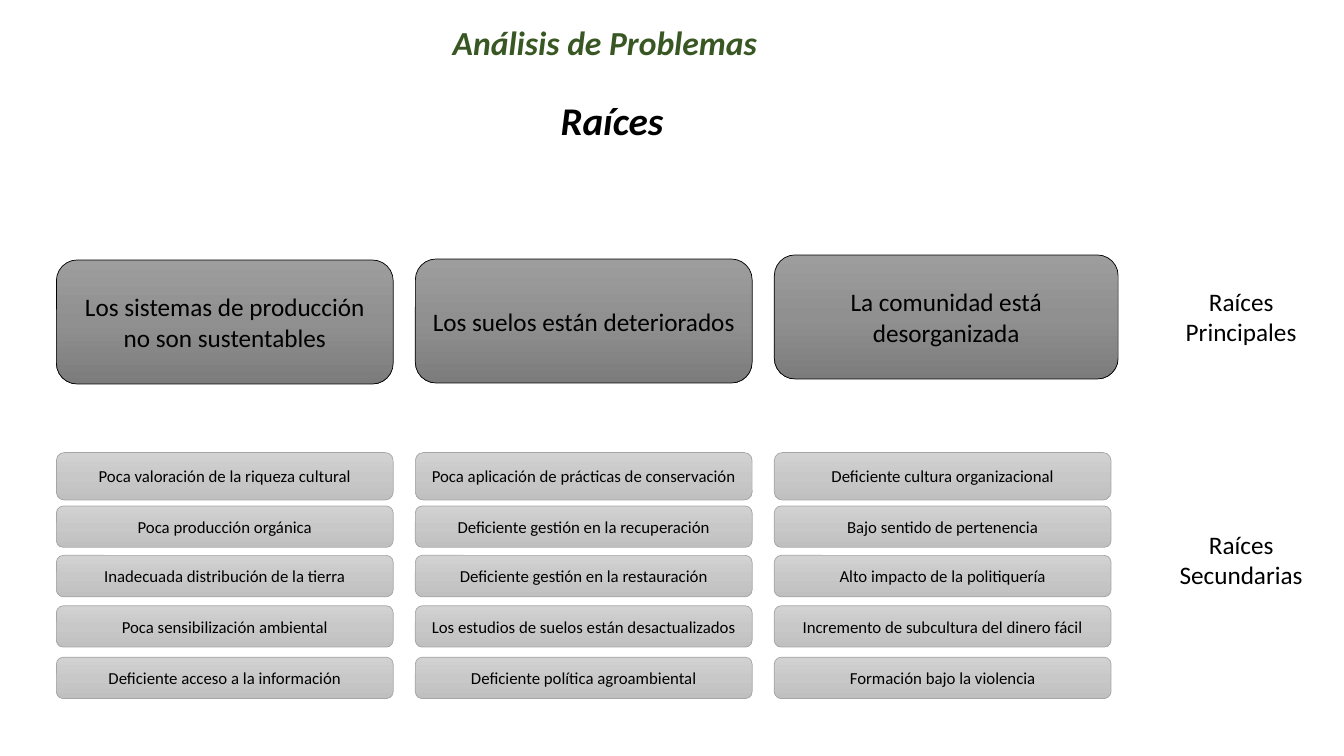
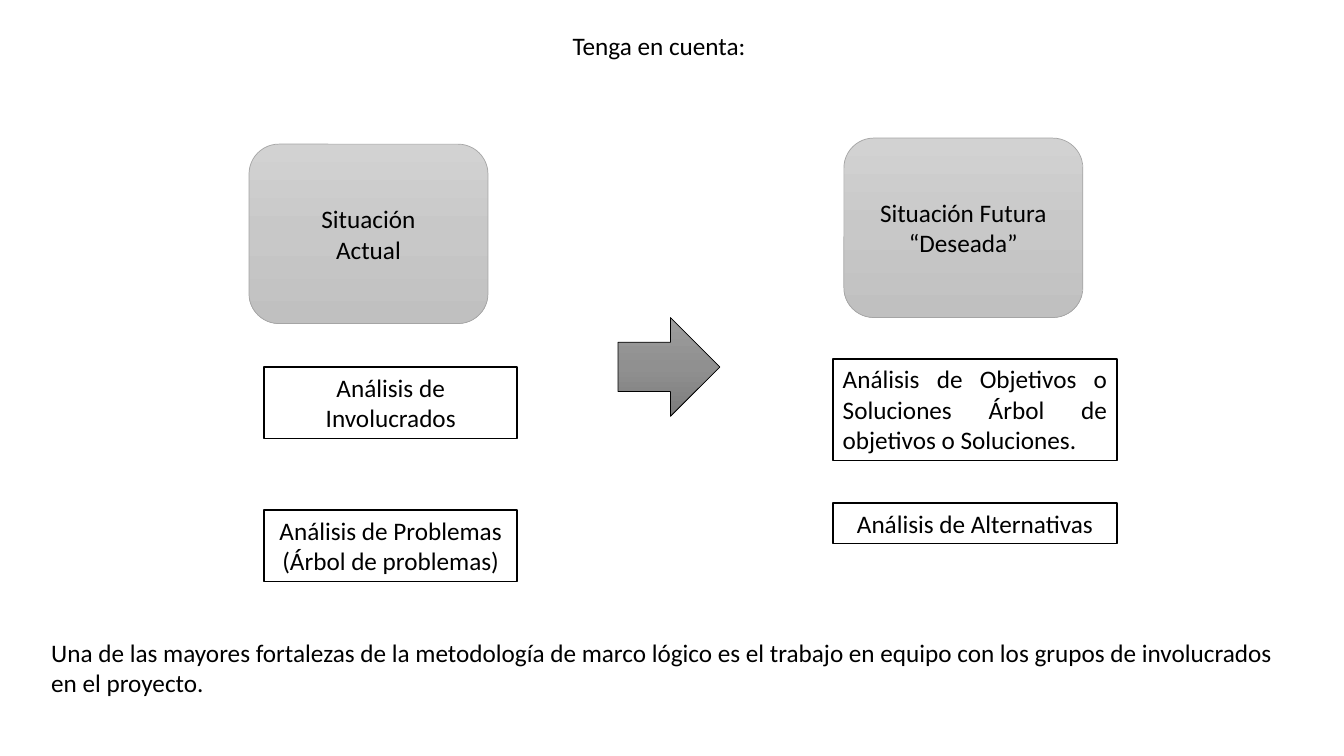
"""Build two slides on problem analysis: root causes, and current versus desired situation."""
from copy import deepcopy
from pptx import Presentation
from pptx import util as u
from pptx.dml.color import RGBColor
from pptx.enum import shapes, text

FONT = "Calibri"
BLACK, GREEN, WHITE, SILVER = "000000", "385723", "FFFFFF", "A5A5A5"
DARK = (("9D9D9D", "909090", "7C7C7C"), BLACK, 0.5)
LIGHT = (("D2D2D2", "C8C8C8", "C0C0C0"), SILVER, 0.5)
PLAIN = ((WHITE,), BLACK, 1)
LEFT, CENTER, JUSTIFY = text.PP_ALIGN.LEFT, text.PP_ALIGN.CENTER, text.PP_ALIGN.JUSTIFY
TOP, MIDDLE = text.MSO_ANCHOR.TOP, text.MSO_ANCHOR.MIDDLE
ROUNDED, RECTANGLE = shapes.MSO_SHAPE.ROUNDED_RECTANGLE, shapes.MSO_SHAPE.RECTANGLE
ARROW = shapes.MSO_SHAPE.RIGHT_ARROW


def write(shape, box, wording, size=18, align=CENTER, anchor=TOP, color=BLACK, strong=False):
    shape.left, shape.top, shape.width, shape.height = [u.Inches(length) for length in box]
    frame = shape.text_frame
    frame.text = wording
    frame.word_wrap = True
    frame.auto_size = text.MSO_AUTO_SIZE.NONE
    frame.vertical_anchor = anchor
    for paragraph in frame.paragraphs:
        paragraph.alignment = align
        paragraph.font.name = FONT
        paragraph.font.size = u.Pt(size)
        paragraph.font.bold = paragraph.font.italic = strong
        paragraph.font.color.rgb = RGBColor.from_string(color)


def add_block(slide, kind, box, style, wording="", **options):
    shape = slide.shapes.add_shape(kind, 0, 0, 0, 0)
    colors, line_color, line_width = style
    shape.shadow.inherit = False
    if len(colors) == 1:
        shape.fill.solid()
        shape.fill.fore_color.rgb = RGBColor.from_string(colors[0])
    else:
        shape.fill.gradient()
        shape.fill.gradient_angle = 270
        first = shape.fill.gradient_stops[0]._gs
        first.addnext(deepcopy(first))
        for number, (stop, color) in enumerate(zip(shape.fill.gradient_stops, colors)):
            stop.position = number / 2
            stop.color.rgb = RGBColor.from_string(color)
    shape.line.color.rgb = RGBColor.from_string(line_color)
    shape.line.width = u.Pt(line_width)
    write(shape, box, wording, **options)


presentation = Presentation()
presentation.slide_width, presentation.slide_height = u.Inches(13.33), u.Inches(7.5)
title_only = presentation.slide_layouts[5]

slide = presentation.slides.add_slide(title_only)
write(slide.shapes.title, (4.39, 0.17, 3.36, 0.5), "Análisis de Problemas", 24, LEFT,
      color=GREEN, strong=True)
write(slide.shapes.add_textbox(0, 0, 0, 0), (5.33, 0.91, 1.48, 0.57), "Raíces", 28, strong=True)

MARGIN, COLUMN, GAP = 0.56, 3.34, 0.22
ROWS = ((4.49, 0.47), (5.02, 0.41), (5.51, 0.41), (6.01, 0.41), (6.52, 0.41))
roots = (
    ("Los sistemas de producción no son sustentables", 2.58, COLUMN,
     ("Poca valoración de la riqueza cultural", "Poca producción orgánica",
      "Inadecuada distribución de la tierra", "Poca sensibilización ambiental",
      "Deficiente acceso a la información")),
    ("Los suelos están deteriorados", 2.57, COLUMN,
     ("Poca aplicación de prácticas de conservación", "Deficiente gestión en la recuperación",
      "Deficiente gestión en la restauración", "Los estudios de suelos están desactualizados",
      "Deficiente política agroambiental")),
    ("La comunidad está desorganizada", 2.53, 3.41,
     ("Deficiente cultura organizacional", "Bajo sentido de pertenencia",
      "Alto impacto de la politiquería", "Incremento de subcultura del dinero fácil",
      "Formación bajo la violencia")),
)
for column, (main_root, top, width, secondary_roots) in enumerate(roots):
    left = MARGIN + column * (COLUMN + GAP)
    add_block(slide, ROUNDED, (left, top, width, 1.23), DARK, main_root, anchor=MIDDLE)
    for (row_top, height), root in zip(ROWS, secondary_roots):
        add_block(slide, ROUNDED, (left, row_top, COLUMN, height), LIGHT, root,
                  size=12, anchor=MIDDLE)

for label, top in (("Raíces Principales", 2.79), ("Raíces Secundarias", 5.2)):
    write(slide.shapes.add_textbox(0, 0, 0, 0), (11.53, top, 1.56, 0.71), label)

slide = presentation.slides.add_slide(title_only)
write(slide.shapes.title, (5.58, 0.25, 2.05, 0.4), "Tenga en cuenta:", align=LEFT)

for left, top, situation in ((2.47, 1.43, "Situación\nActual"),
                             (8.37, 1.37, "Situación Futura\n“Deseada”")):
    add_block(slide, ROUNDED, (left, top, 2.37, 1.78), LIGHT, situation, anchor=MIDDLE)

analyses = (
    ((2.62, 3.64, 2.51, 0.71), "Análisis de Involucrados", CENTER),
    ((2.62, 5.06, 2.51, 0.71), "Análisis de Problemas\n(Árbol de problemas)", CENTER),
    ((8.26, 3.56, 2.82, 1.01),
     "Análisis de Objetivos o Soluciones Árbol de objetivos o Soluciones.", JUSTIFY),
    ((8.26, 4.99, 2.82, 0.4), "Análisis de Alternativas", CENTER),
)
for box, analysis, align in analyses:
    add_block(slide, RECTANGLE, box, PLAIN, analysis, align=align)

add_block(slide, ARROW, (6.13, 3.15, 1.01, 0.98), DARK)
write(slide.shapes.add_textbox(0, 0, 0, 0), (0.41, 6.27, 12.56, 0.71),
      "Una de las mayores fortalezas de la metodología de marco lógico es el trabajo en equipo "
      "con los grupos de involucrados en el proyecto.", align=LEFT)

presentation.save("out.pptx")
